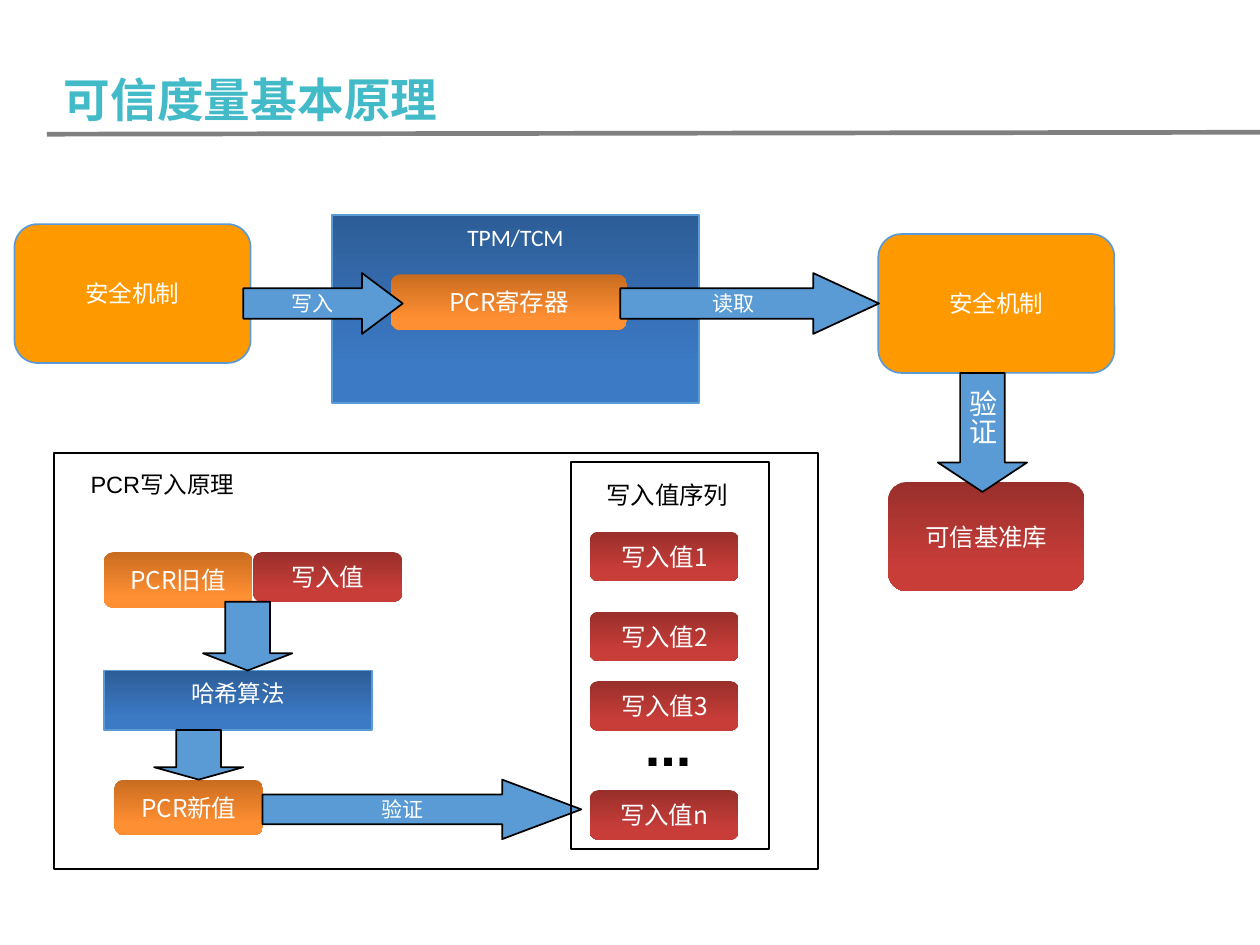
from lxml import etree
from pptx import Presentation
from pptx.dml.color import RGBColor
from pptx.enum.shapes import MSO_CONNECTOR, MSO_SHAPE
from pptx.enum.text import MSO_ANCHOR, PP_ALIGN
from pptx.oxml.ns import qn
from pptx.util import Cm, Pt

STRAIGHT = MSO_CONNECTOR.STRAIGHT
RECTANGLE, ROUNDED = MSO_SHAPE.RECTANGLE, MSO_SHAPE.ROUNDED_RECTANGLE
PROCESS = MSO_SHAPE.FLOWCHART_PROCESS
RIGHT_ARROW, DOWN_ARROW = MSO_SHAPE.RIGHT_ARROW, MSO_SHAPE.DOWN_ARROW
TOP, MIDDLE = MSO_ANCHOR.TOP, MSO_ANCHOR.MIDDLE
LEFT, CENTER = PP_ALIGN.LEFT, PP_ALIGN.CENTER

WHITE = RGBColor(0xFF, 0xFF, 0xFF)
BLACK = RGBColor(0x00, 0x00, 0x00)
GRAY = RGBColor(0x80, 0x80, 0x80)
TEAL = RGBColor(0x42, 0xBA, 0xC8)
SKY = RGBColor(0x5B, 0x9B, 0xD5)
AMBER = RGBColor(0xFF, 0x99, 0x00)
BLUES = (RGBColor(0x2D, 0x5D, 0x97), RGBColor(0x3C, 0x7A, 0xC5))
ORANGES = (RGBColor(0xC9, 0x6C, 0x1F), RGBColor(0xFF, 0x8F, 0x33))
REDS = (RGBColor(0x99, 0x2F, 0x2B), RGBColor(0xC9, 0x3D, 0x39))

CJK, ARIAL, CALIBRI = "Noto Sans CJK SC", "Arial", "Calibri"


class MeasurementSlide:
    """Draws the elements of the slide in one shared style."""

    def __init__(self, presentation):
        self.slide = presentation.slides.add_slide(presentation.slide_layouts[5])
        self.shapes = self.slide.shapes

    def add_text(self, shape, text, size, font=CJK, color=WHITE, bold=False,
                 align=CENTER, anchor=MIDDLE, wrap=True):
        frame = shape.text_frame
        frame.word_wrap = wrap
        frame.vertical_anchor = anchor
        paragraph = frame.paragraphs[0]
        paragraph.alignment = align
        run = paragraph.add_run()
        run.text = text
        run.font.size = Pt(size)
        run.font.name = font
        run.font.bold = bold
        run.font.color.rgb = color
        east_asian = etree.SubElement(run.font._element, qn("a:ea"))
        east_asian.set("typeface", CJK)

    def title(self, text, *box):
        title = self.shapes.title
        title.left, title.top, title.width, title.height = map(Cm, box)
        self.add_text(title, text, 20, color=TEAL, bold=True, align=LEFT)

    def rule(self, *ends):
        connector = self.shapes.add_connector(STRAIGHT, *map(Cm, ends))
        connector.line.color.rgb = GRAY
        connector.line.width = Pt(2)
        etree.SubElement(connector._element.spPr, qn("a:effectLst"))

    def shape(self, kind, box, fill=None, line=None):
        shape = self.shapes.add_shape(kind, *map(Cm, box))
        shape.shadow.inherit = False
        if fill is None:
            shape.fill.background()
        elif isinstance(fill, RGBColor):
            shape.fill.solid()
            shape.fill.fore_color.rgb = fill
        else:
            shape.fill.gradient()
            shape.fill.gradient_angle = 270
            for stop, color, position in zip(shape.fill.gradient_stops, fill, (0, 0.8)):
                stop.color.rgb = color
                stop.position = position
        if line is None:
            shape.line.fill.background()
        else:
            shape.line.color.rgb = line
            shape.line.width = Pt(0.75)
        return shape

    def frame(self, *box):
        self.shape(RECTANGLE, box, line=BLACK)

    def process(self, text, *box):
        shape = self.shape(PROCESS, box, BLUES, SKY)
        self.add_text(shape, text, 10.1, CALIBRI, anchor=TOP)

    def block(self, text, fill, *box, size=10.5, line=None):
        self.add_text(self.shape(ROUNDED, box, fill, line), text, size)

    def arrow(self, kind, head, *box, text=None, size=9, vertical=False):
        shape = self.shape(kind, box, SKY, BLACK)
        shape.adjustments[1] = head
        if text:
            self.add_text(shape, text, size, ARIAL, wrap=False)
        if vertical:
            shape.text_frame._txBody.bodyPr.set("vert", "eaVert")

    def label(self, text, *box, size=10.5, bold=False):
        textbox = self.shapes.add_textbox(*map(Cm, box))
        self.add_text(textbox, text, size, ARIAL, BLACK, bold, LEFT, TOP)


def main():
    presentation = Presentation()
    presentation.slide_width, presentation.slide_height = Cm(19.05), Cm(14.29)
    page = MeasurementSlide(presentation)

    # Heading
    page.rule(0.71, 2.03, 19.05, 2.0)
    page.title("可信度量基本原理", 0.71, 0.94, 7.65, 1.12)

    # Measurement flow
    page.process("TPM/TCM", 5.02, 3.25, 5.55, 2.85)
    page.block("PCR寄存器", ORANGES, 5.91, 4.15, 3.57, 0.84)
    page.block("安全机制", AMBER, 0.22, 3.39, 3.57, 2.1, size=10.1, line=SKY)
    page.arrow(RIGHT_ARROW, 0.67, 3.68, 4.13, 2.41, 0.92, text="写入")
    page.block("安全机制", AMBER, 13.28, 3.54, 3.57, 2.1, size=10.1, line=SKY)
    page.arrow(RIGHT_ARROW, 1.08, 9.38, 4.13, 3.91, 0.92, text="读取")
    page.block("可信基准库", REDS, 13.43, 7.29, 2.97, 1.65)
    page.arrow(DOWN_ARROW, 0.33, 14.18, 5.64, 1.35, 1.8,
               text="验证", size=12, vertical=True)

    # How a PCR is written
    page.frame(0.82, 6.85, 11.55, 6.29)
    page.label("PCR写入原理", 1.12, 6.99, 2.72, 0.69, size=10.1)
    page.block("PCR旧值", ORANGES, 1.57, 8.35, 2.25, 0.84)
    page.block("写入值", REDS, 3.83, 8.35, 2.25, 0.75)
    page.process("哈希算法", 1.57, 10.14, 4.06, 0.9)
    page.block("PCR新值", ORANGES, 1.73, 11.79, 2.25, 0.84)
    page.arrow(RIGHT_ARROW, 1.33, 3.97, 11.79, 4.82, 0.9, text="验证")
    page.arrow(DOWN_ARROW, 0.25, 3.07, 9.1, 1.35, 1.04)
    page.arrow(DOWN_ARROW, 0.25, 2.33, 11.04, 1.35, 0.75)

    # Sequence of written values
    for index, top in (("1", 8.04), ("2", 9.25), ("3", 10.3), ("n", 11.95)):
        page.block("写入值" + index, REDS, 8.92, top, 2.25, 0.75)
    page.label("...", 9.5, 10.62, 1.22, 1.27, size=24, bold=True)
    page.frame(8.63, 6.99, 3.0, 5.85)
    page.label("写入值序列", 8.92, 7.14, 2.39, 0.71)

    presentation.save("out.pptx")


if __name__ == "__main__":
    main()
